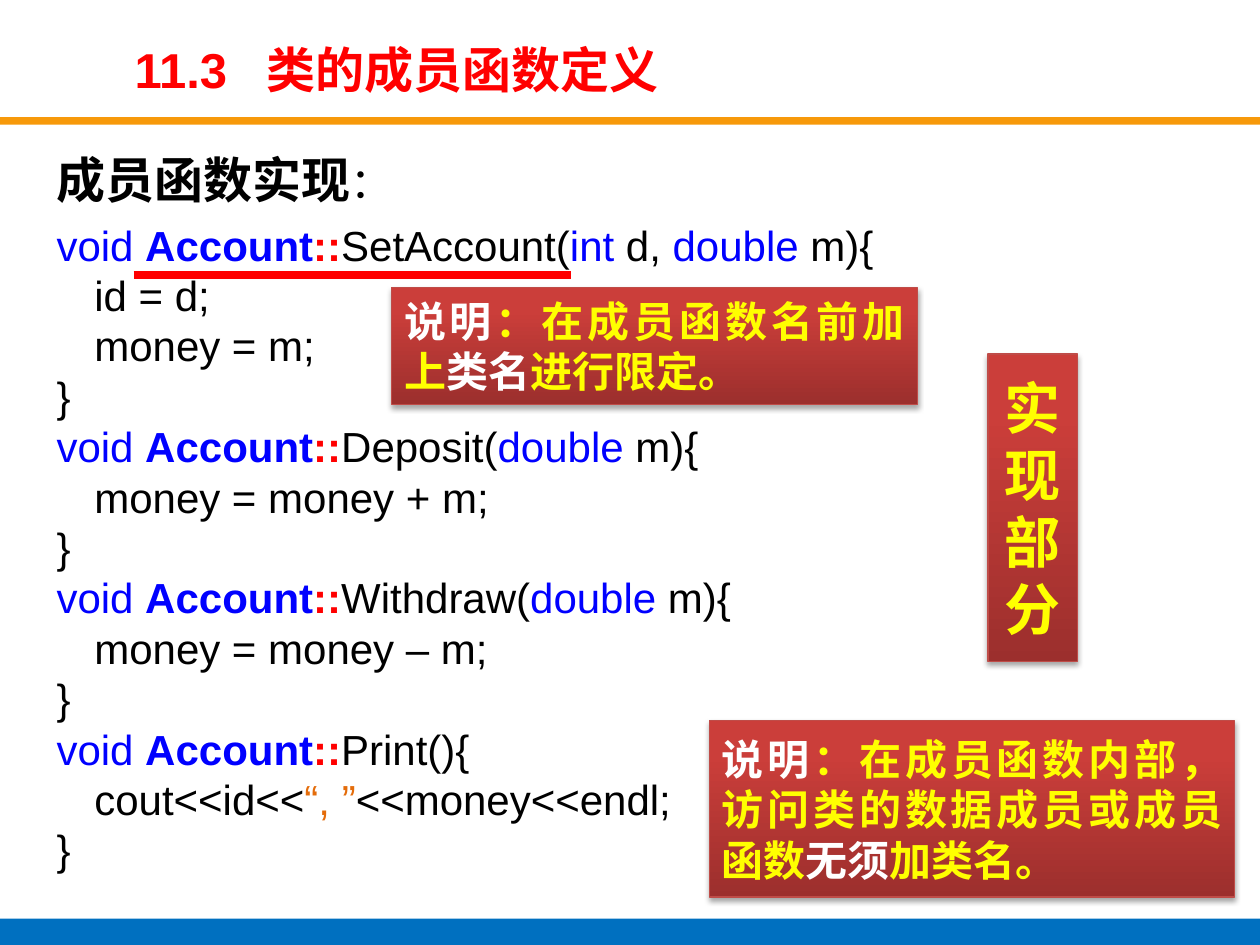
from lxml.etree import SubElement
from pptx import Presentation
from pptx.dml.color import RGBColor
from pptx.enum.shapes import MSO_CONNECTOR, MSO_SHAPE
from pptx.enum.text import MSO_ANCHOR, PP_ALIGN
from pptx.oxml.ns import qn
from pptx.util import Inches, Pt

BLACK = RGBColor(0x00, 0x00, 0x00)
WHITE = RGBColor(0xFF, 0xFF, 0xFF)
RED = RGBColor(0xFF, 0x00, 0x00)
BLUE = RGBColor(0x00, 0x00, 0xFF)
YELLOW = RGBColor(0xFF, 0xFF, 0x00)
STRING_ORANGE = RGBColor(0xE4, 0x6C, 0x0A)
RULE_ORANGE = RGBColor(0xF7, 0x99, 0x0A)
FOOTER_BLUE = RGBColor(0x00, 0x70, 0xC0)
CALLOUT_DARK = RGBColor(0x9C, 0x2F, 0x2D)
CALLOUT_LIGHT = RGBColor(0xCB, 0x3E, 0x3A)
CALLOUT_EDGE = RGBColor(0xBF, 0x4C, 0x48)

LATIN_FONT = "Arial"
CHINESE_FONT = "Noto Sans CJK SC"
LINE_FACTOR = 1.2


def write_paragraph(paragraph, runs, size, align=PP_ALIGN.JUSTIFY):
    """Fill a paragraph with (text, colour, bold) runs."""
    paragraph.alignment = align
    paragraph.line_spacing = Pt(size * LINE_FACTOR)
    paragraph.font.size = Pt(size)
    paragraph.font.name = LATIN_FONT
    for text, color, bold in runs:
        run = paragraph.add_run()
        run.text = text
        run.font.color.rgb = color
        run.font.bold = bold
        # Chinese characters take their typeface from a:ea
        SubElement(run.font._element, qn("a:ea"), typeface=CHINESE_FONT)


def add_band(slide, top, height, color):
    band = slide.shapes.add_shape(
        MSO_SHAPE.RECTANGLE, 0, Inches(top), Inches(10), Inches(height))
    band.shadow.inherit = False
    band.fill.solid()
    band.fill.fore_color.rgb = color
    band.line.fill.background()


def add_text_frame(slide, left, top, width, height):
    box = slide.shapes.add_textbox(
        Inches(left), Inches(top), Inches(width), Inches(height))
    box.text_frame.word_wrap = True
    return box.text_frame


def add_title(slide, number, title):
    frame = add_text_frame(slide, 0.97, 0.27, 6.86, 0.55)
    frame.vertical_anchor = MSO_ANCHOR.MIDDLE
    heading = frame.paragraphs[0]
    write_paragraph(heading, [(f"{number}\t{title}", RED, True)], 28, PP_ALIGN.LEFT)
    tab_stops = SubElement(heading._p.get_or_add_pPr(), qn("a:tabLst"))
    SubElement(tab_stops, qn("a:tab"), pos=str(Inches(1.05)), algn="l")
    # Tab stops come before the default run properties
    heading._p.pPr.insert(1, tab_stops)


def signature(method, *parameters):
    """Runs of a member function's first line."""
    return [("void ", BLUE, False), ("Account", BLUE, True), ("::", RED, True),
            (method, BLACK, False), *parameters]


def keyword(text):
    return text, BLUE, False


def plain(text):
    return text, BLACK, False


def add_code(slide):
    functions = [
        (signature("SetAccount(", keyword("int "), plain("d, "),
                   keyword("double"), plain(" m){")),
         [[plain("id = d; ")], [plain("money = m;")]]),
        (signature("Deposit(", keyword("double "), plain("m){")),
         [[plain("money = money + m;")]]),
        (signature("Withdraw(", keyword("double "), plain("m){")),
         [[plain("money = money – m;")]]),
        (signature("Print(){"),
         [[plain("cout<<id<<"), ("“, ”", STRING_ORANGE, False),
           plain("<<money<<endl;")]]),
    ]
    frame = add_text_frame(slide, 0.35, 1.14, 9.29, 6.1)
    heading = frame.paragraphs[0]
    write_paragraph(heading, [("成员函数实现", BLACK, True)], 28)
    write_paragraph(heading, [plain("：")], 28)
    heading.runs[1].font.size = Pt(24)
    heading.space_after = Pt(6)
    for first_line, statements in functions:
        write_paragraph(frame.add_paragraph(), first_line, 24)
        for statement in statements:
            line = frame.add_paragraph()
            write_paragraph(line, statement, 24)
            line._p.get_or_add_pPr().set("indent", str(Inches(0.3)))
        write_paragraph(frame.add_paragraph(), [plain("}")], 24)


def add_soft_shadow(shape):
    shape.shadow.inherit = False
    effects = shape._element.spPr.find(qn("a:effectLst"))
    shadow = SubElement(effects, qn("a:outerShdw"), blurRad=str(Pt(3.1)),
                        dist=str(Pt(1.8)), dir="5400000", rotWithShape="0")
    color = SubElement(shadow, qn("a:srgbClr"), val="000000")
    SubElement(color, qn("a:alpha"), val="35000")


def add_callout(slide, left, top, width, height, runs, size=24,
                align=PP_ALIGN.JUSTIFY):
    callout = slide.shapes.add_shape(
        MSO_SHAPE.RECTANGLE, Inches(left), Inches(top), Inches(width), Inches(height))
    callout.fill.gradient()
    callout.fill.gradient_angle = 90
    shades = [(0, CALLOUT_DARK), (0.8, CALLOUT_LIGHT)]
    for stop, (position, color) in zip(callout.fill.gradient_stops, shades):
        stop.position = position
        stop.color.rgb = color
    callout.line.color.rgb = CALLOUT_EDGE
    callout.line.width = Pt(0.75)
    add_soft_shadow(callout)
    frame = callout.text_frame
    frame.word_wrap = True
    frame.vertical_anchor = MSO_ANCHOR.MIDDLE
    write_paragraph(frame.paragraphs[0],
                    [(text, color, True) for text, color in runs], size, align)


def add_underline(slide, left, right, y):
    underline = slide.shapes.add_connector(
        MSO_CONNECTOR.STRAIGHT, Inches(left), Inches(y), Inches(right), Inches(y))
    underline.line.color.rgb = RED
    underline.line.width = Pt(4.5)
    SubElement(underline._element.spPr, qn("a:effectLst"))


def main():
    presentation = Presentation()
    presentation.slide_width = Inches(10)
    presentation.slide_height = Inches(7.5)
    slide = presentation.slides.add_slide(presentation.slide_layouts[6])

    add_band(slide, 0.93, 0.06, RULE_ORANGE)
    add_band(slide, 7.29, 0.21, FOOTER_BLUE)
    add_code(slide)
    add_title(slide, "11.3", "类的成员函数定义")
    add_callout(slide, 7.84, 2.81, 0.71, 2.44, [("实现部分", YELLOW)],
                32, PP_ALIGN.CENTER)
    add_callout(slide, 5.63, 5.72, 4.17, 1.4, [
        ("说明", WHITE), ("：在成员函数内部，访问类的数据成员或成员函数", YELLOW),
        ("无须", WHITE), ("加类名。", YELLOW)])
    add_underline(slide, 1.06, 4.53, 2.18)
    add_callout(slide, 3.11, 2.28, 4.17, 0.93, [
        ("说明", WHITE), ("：在成员函数名前加上", YELLOW),
        ("类名", WHITE), ("进行限定。", YELLOW)])

    presentation.save("out.pptx")


if __name__ == "__main__":
    main()
